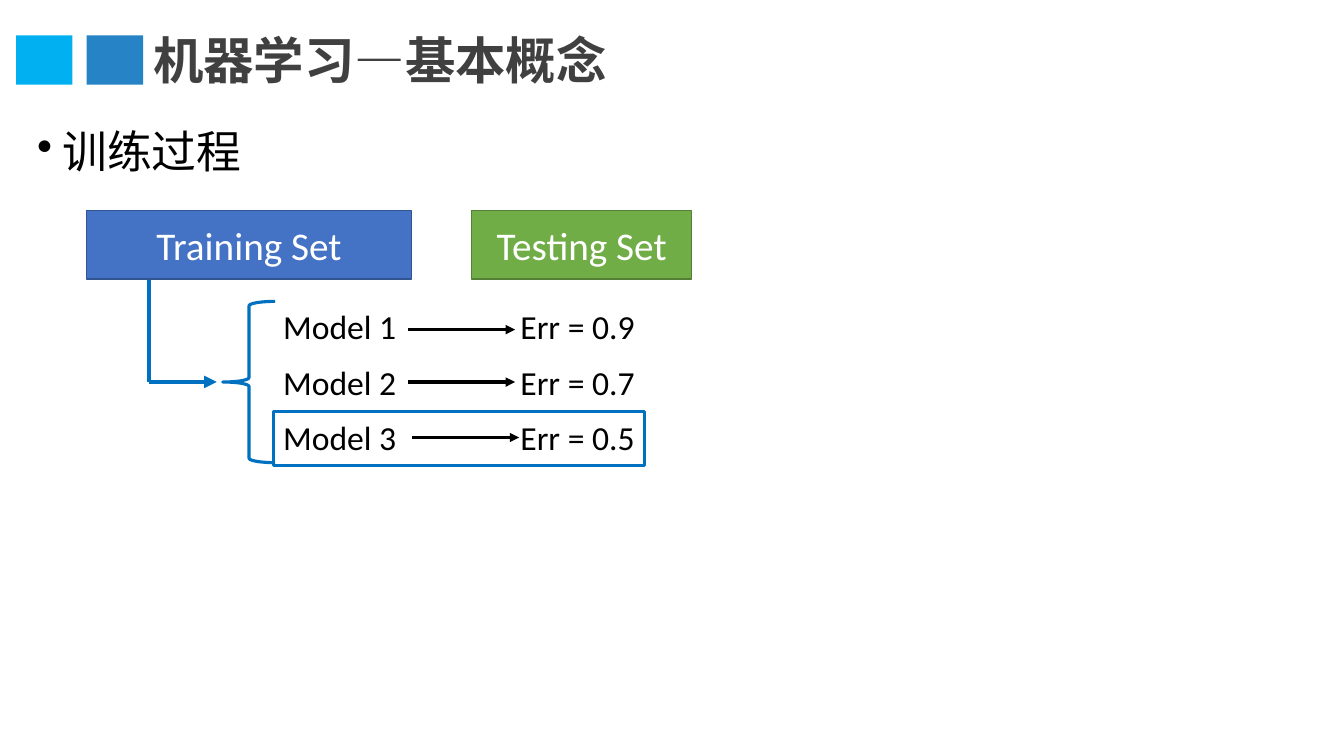
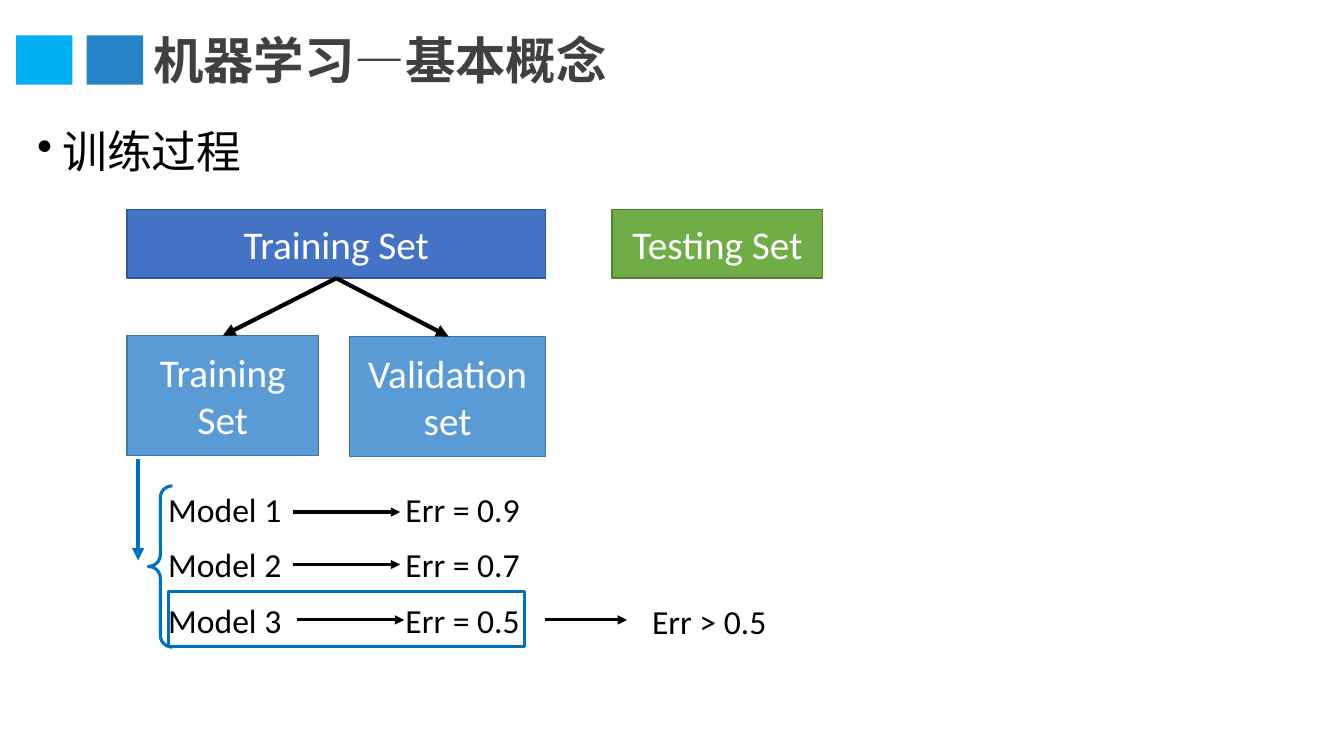
from lxml import etree
from pptx import Presentation
from pptx import util as u
from pptx.dml.color import RGBColor
from pptx.enum import shapes, text
from pptx.oxml import ns

WIDTH, HEIGHT = u.Inches(13.33), u.Inches(7.5)
COLUMN, ROW = WIDTH / 100, HEIGHT / 100  # every position counts these

COLORS = {
    "black": "000000", "white": "FFFFFF", "title": "404040",
    "cyan": "00B0F0", "azure": "2683C6", "accent": "0070C0",
    "blue": "4472C4", "blue edge": "325491",
    "green": "70AD47", "green edge": "538035",
    "sky": "5B9BD5", "sky edge": "43739E",
}
LATIN, CHINESE, SERIF = "Calibri", "Noto Sans CJK SC", "Times New Roman"

SET_HEIGHT = 9.07
LABEL_HEIGHT = 6.67
MODEL_STEP = 7.33
ERRORS = ("0.9", "0.7", "0.5")
# column and row of each model's arrow, counted from the list's corner
ARROW_OFFSETS = ((10.05, 3.73), (10.05, 10.67), (10.35, 18))
ARROW_LENGTH = 7.95


def color(name):
    return RGBColor.from_string(COLORS[name])


def place(left, top, width, height):
    """Turn grid columns and rows into slide lengths."""
    return (round(left * COLUMN), round(top * ROW),
            round(width * COLUMN), round(height * ROW))


def style_text(frame, size, tint, font=LATIN, bold=False, align=None):
    for para in frame.paragraphs:
        para.alignment = align
        for span in para.runs:
            span.font.size = u.Pt(size)
            span.font.name = font
            span.font.bold = bold
            span.font.color.rgb = color(tint)
            east_asian = etree.SubElement(span.font._element, ns.qn("a:ea"))
            east_asian.set("typeface", CHINESE)


def add_text(page, words, grid, size, tint="black", wrap=True, fit=True, **style):
    box = page.shapes.add_textbox(*place(*grid))
    frame = box.text_frame
    frame.text = words
    frame.word_wrap = wrap
    if fit:
        frame.auto_size = text.MSO_AUTO_SIZE.SHAPE_TO_FIT_TEXT
    style_text(frame, size, tint, **style)
    return box


def add_shape(page, kind, grid, fill=None, edge=None, weight=1):
    shape = page.shapes.add_shape(kind, *place(*grid))
    shape.shadow.inherit = False
    if fill:
        shape.fill.solid()
        shape.fill.fore_color.rgb = color(fill)
    else:
        shape.fill.background()
    if edge:
        shape.line.color.rgb = color(edge)
        shape.line.width = u.Pt(weight)
    else:
        shape.line.fill.background()
    return shape


def add_set(page, words, grid, tint):
    """Draw a data set as a filled block with a darker edge."""
    block = add_shape(page, shapes.MSO_SHAPE.RECTANGLE, grid, tint, f"{tint} edge")
    frame = block.text_frame
    frame.text = words
    frame.word_wrap = True
    frame.vertical_anchor = text.MSO_ANCHOR.MIDDLE
    style_text(frame, 28, "white", align=text.PP_ALIGN.CENTER)


def add_line(page, start, end, tint="black", weight=2.25, arrow=True):
    ends = place(*start, *end)
    line = page.shapes.add_connector(shapes.MSO_CONNECTOR.STRAIGHT, *ends)
    line.line.color.rgb = color(tint)
    line.line.width = u.Pt(weight)
    if arrow:
        head = etree.SubElement(line.line._get_or_add_ln(), ns.qn("a:tailEnd"))
        head.set("type", "triangle")
    etree.SubElement(line._element.spPr, ns.qn("a:effectLst"))


def add_brace(page, grid, curve=None):
    brace = add_shape(page, shapes.MSO_SHAPE.LEFT_BRACE, grid, None, "accent", 2.25)
    if curve:
        brace.adjustments[0] = curve


def add_models(page, left, top):
    """List the models, each with an arrow to its error."""
    for index, (error, (across, down)) in enumerate(zip(ERRORS, ARROW_OFFSETS)):
        row = top + index * MODEL_STEP
        add_text(page, f"Model {index + 1}", (left, row, 10.35, LABEL_HEIGHT), 24)
        add_text(page, f"Err = {error}",
                 (left + 17.65, row, 11.18, LABEL_HEIGHT), 24)
        start = left + across
        add_line(page, (start, top + down), (start + ARROW_LENGTH, top + down))


def add_highlight(page, grid):
    add_shape(page, shapes.MSO_SHAPE.RECTANGLE, grid, None, "accent", 2.25)


def add_page(deck):
    """Add a page with the shared title, squares and bullet."""
    page = deck.slides.add_slide(deck.slide_layouts[6])
    add_text(page, "机器学习—基本概念", (10.65, 3.2, 35.7, 9.5), 36, "title",
             wrap=False, font=CHINESE, bold=True)
    for index, tint in enumerate(("cyan", "azure")):
        add_shape(page, shapes.MSO_SHAPE.RECTANGLE,
                  (1.2 + index * 5.25, 4.67, 4.2, 6.53), tint)
    body = add_text(page, "训练过程", (2.03, 16.53, 95.6, 69.9), 32,
                    fit=False, font=SERIF)
    para = body.text_frame.paragraphs[0]
    para.line_spacing = 0.9
    props = para._p.get_or_add_pPr()
    props.set("marL", str(u.Inches(0.25)))
    props.set("indent", str(-u.Inches(0.25)))
    etree.SubElement(props, ns.qn("a:buChar")).set("char", "•")
    return page


def add_training_page(deck):
    page = add_page(deck)
    add_set(page, "Training Set", (6.45, 27.87, 24.15, SET_HEIGHT), "blue")
    add_set(page, "Testing Set", (35.1, 27.87, 16.35, SET_HEIGHT), "green")
    left, top = 20.33, 39.87
    add_models(page, left, top)
    add_brace(page, (16.58, top, 3.9, 21.33))
    corner = (11.1, 50.53)
    add_line(page, (11.1, 37.07), corner, "accent", 3, arrow=False)
    add_line(page, corner, (16.13, 50.53), "accent", 3)
    add_highlight(page, (left, 54.4, 27.6, 7.2))


def add_validation_page(deck):
    page = add_page(deck)
    add_set(page, "Training Set", (9.45, 27.73, 31.13, SET_HEIGHT), "blue")
    add_set(page, "Testing Set", (45.53, 27.73, 15.68, SET_HEIGHT), "green")
    add_set(page, "Training Set", (9.45, 44.4, 14.25, 15.87), "sky")
    add_set(page, "Validation\nset", (26.03, 44.53, 14.55, 15.87), "sky")
    for target in ((16.58, 44.4), (33.38, 44.53)):
        add_line(page, (25.03, 36.8), target, weight=3)
    left, top = 11.78, 64
    add_models(page, left, top)
    add_line(page, (40.58, 82), (46.65, 82))
    add_text(page, "Err > 0.5", (47.78, 78.8, 11.18, LABEL_HEIGHT), 24)
    add_brace(page, (11.03, 64.27, 1.8, 21.33), curve=0.48)
    add_line(page, (10.28, 60.67), (10.28, 74.13), "accent", 3)
    add_highlight(page, (12.53, 78.27, 26.48, 7.2))


def main():
    deck = Presentation()
    deck.slide_width, deck.slide_height = WIDTH, HEIGHT
    add_training_page(deck)
    add_validation_page(deck)
    deck.save("out.pptx")


if __name__ == "__main__":
    main()
